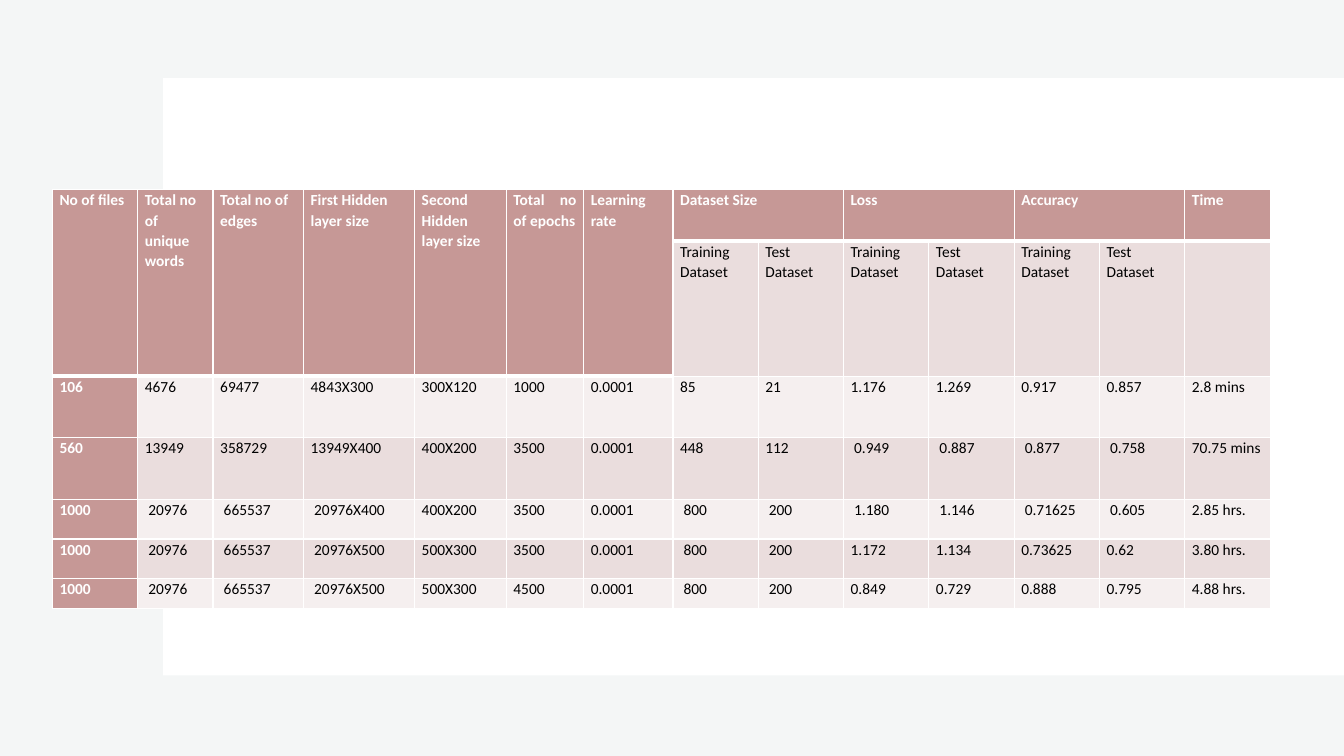
from itertools import product
from typing import NamedTuple

from lxml import etree
from pptx import Presentation, util as u
from pptx.dml import color
from pptx.enum import shapes, text
from pptx.oxml import ns

ROSE, BLUSH, PALE = "C69896", "EADDDD", "F5EFEF"
WHITE, BLACK, MIST = "FFFFFF", "000000", "E2E8E8"

MARGINS = {"margin_left": u.Cm(0.18), "margin_right": u.Cm(0.18),
           "margin_top": 0, "margin_bottom": 0}
FONT = {"name": "Calibri", "size": u.Pt(11)}


class Panel(NamedTuple):
    left: float
    top: float
    width: float
    height: float
    fill: str
    opacity: int = 100


class Heading(NamedTuple):
    label: str
    column: int
    rows: int = 1
    columns: int = 1
    align: text.PP_ALIGN = text.PP_ALIGN.JUSTIFY


PANELS = [Panel(0, 0, 33.87, 19.05, MIST, 35),
          Panel(4.11, 1.97, 29.76, 15.05, WHITE)]

LEFT = text.PP_ALIGN.LEFT
HEADINGS = [
    Heading("No of files", 0, rows=2),
    Heading("Total no of unique words", 1, rows=2, align=LEFT),
    Heading("Total no of edges", 2, rows=2, align=LEFT),
    Heading("First Hidden layer size", 3, rows=2, align=LEFT),
    Heading("Second Hidden layer size", 4, rows=2, align=LEFT),
    Heading("Total no of epochs", 5, rows=2),
    Heading("Learning rate", 6, rows=2),
    Heading("Dataset Size", 7, columns=2),
    Heading("Loss", 9, columns=2),
    Heading("Accuracy", 11, columns=2),
    Heading("Time", 13),
]
SPLIT_COLUMN = 7  # first column whose heading has a second level
SPLITS = ["Training Dataset", "Test Dataset"] * 3 + [""]

RESULTS = [
    ["106", "4676", "69477", "4843X300", "300X120", "1000", "0.0001",
     "85", "21", "1.176", "1.269", "0.917", "0.857", "2.8 mins"],
    ["560", "13949", "358729", "13949X400", "400X200", "3500", "0.0001",
     "448", "112", " 0.949", " 0.887", " 0.877", " 0.758", "70.75 mins"],
    ["1000", " 20976", " 665537", " 20976X400", "400X200", "3500", "0.0001",
     " 800", " 200", " 1.180", " 1.146", " 0.71625", " 0.605", "2.85 hrs."],
    ["1000", " 20976", " 665537", " 20976X500", "500X300", "3500", "0.0001",
     " 800", " 200", "1.172", "1.134", "0.73625", "0.62", "3.80 hrs."],
    ["1000", " 20976", " 665537", " 20976X500", "500X300", "4500", "0.0001",
     " 800", " 200", "0.849", "0.729", "0.888", "0.795", "4.88 hrs."],
]

COLUMN_WIDTHS = [2.15, 1.9, 2.28, 2.8, 2.31, 1.95, 2.25] + [2.15] * 7
ROW_HEIGHTS = [1.3, 3.4, 1.55, 1.55, 1, 1, 0.75]


def set_color(target, value: str) -> None:
    target.rgb = color.RGBColor.from_string(value)


def apply(target, values: dict) -> None:
    for name, value in values.items():
        setattr(target, name, value)


def draw_panel(slide, panel: Panel) -> None:
    backdrop = slide.shapes.add_shape(
        shapes.MSO_SHAPE.RECTANGLE, *(u.Cm(length) for length in panel[:4]))
    backdrop.shadow.inherit = False
    backdrop.line.fill.background()
    backdrop.fill.solid()
    set_color(backdrop.fill.fore_color, panel.fill)
    if panel.opacity < 100:
        tint = next(backdrop.element.iter(ns.qn("a:srgbClr")))
        etree.SubElement(tint, ns.qn("a:alpha"), val=str(panel.opacity * 1000))


def is_heading(row: int, column: int) -> bool:
    return row == 0 or (row == 1 and column < SPLIT_COLUMN)


def draw_borders(cell, row: int, column: int) -> None:
    below_heading = row > 0 and is_heading(row - 1, column)
    widths = {"a:lnL": 1, "a:lnR": 1, "a:lnT": 3 if below_heading else 1,
              "a:lnB": 3 if is_heading(row, column) else 1}
    properties = cell._tc.get_or_add_tcPr()
    for tag, width in widths.items():
        line = etree.SubElement(properties, ns.qn(tag), w=str(u.Pt(width)))
        solid = etree.SubElement(line, ns.qn("a:solidFill"))
        etree.SubElement(solid, ns.qn("a:srgbClr"), val=WHITE)


def style_cell(cell, row: int, column: int) -> None:
    draw_borders(cell, row, column)
    emphasis = is_heading(row, column) or column == 0
    cell.fill.solid()
    set_color(cell.fill.fore_color,
              ROSE if emphasis else (BLUSH if row % 2 else PALE))
    apply(cell, MARGINS)
    paragraph = cell.text_frame.paragraphs[0]
    apply(paragraph, {"line_spacing": 1.07,
                      "alignment": text.PP_ALIGN.JUSTIFY})
    apply(paragraph.font, FONT)
    for run in paragraph.runs:
        apply(run.font, {**FONT, "bold": emphasis})
        set_color(run.font.color, WHITE if emphasis else BLACK)


def draw_results(slide) -> None:
    frame = slide.shapes.add_table(
        len(ROW_HEIGHTS), len(COLUMN_WIDTHS), u.Cm(1.32), u.Cm(4.78),
        u.Cm(sum(COLUMN_WIDTHS)), u.Cm(sum(ROW_HEIGHTS)))
    table = frame.table
    apply(table, {"first_row": False, "horz_banding": False})
    for column, width in zip(table.columns, COLUMN_WIDTHS):
        column.width = u.Cm(width)
    for row, height in zip(table.rows, ROW_HEIGHTS):
        row.height = u.Cm(height)

    # Wording
    for heading in HEADINGS:
        table.cell(0, heading.column).text = heading.label
    for column, label in enumerate(SPLITS, SPLIT_COLUMN):
        table.cell(1, column).text = label
    for row, values in enumerate(RESULTS, 2):
        for column, value in enumerate(values):
            table.cell(row, column).text = value

    # Cell formats
    for row, column in product(range(len(ROW_HEIGHTS)),
                               range(len(COLUMN_WIDTHS))):
        style_cell(table.cell(row, column), row, column)

    # Merged headings
    for heading in HEADINGS:
        first = table.cell(0, heading.column)
        first.text_frame.paragraphs[0].alignment = heading.align
        if heading.rows * heading.columns > 1:
            first.merge(table.cell(heading.rows - 1,
                                   heading.column + heading.columns - 1))


def main() -> None:
    deck = Presentation()
    apply(deck, {"slide_width": u.Cm(33.87), "slide_height": u.Cm(19.05)})
    slide = deck.slides.add_slide(deck.slide_layouts[6])
    for panel in PANELS:
        draw_panel(slide, panel)
    draw_results(slide)
    deck.save("out.pptx")


if __name__ == "__main__":
    main()
